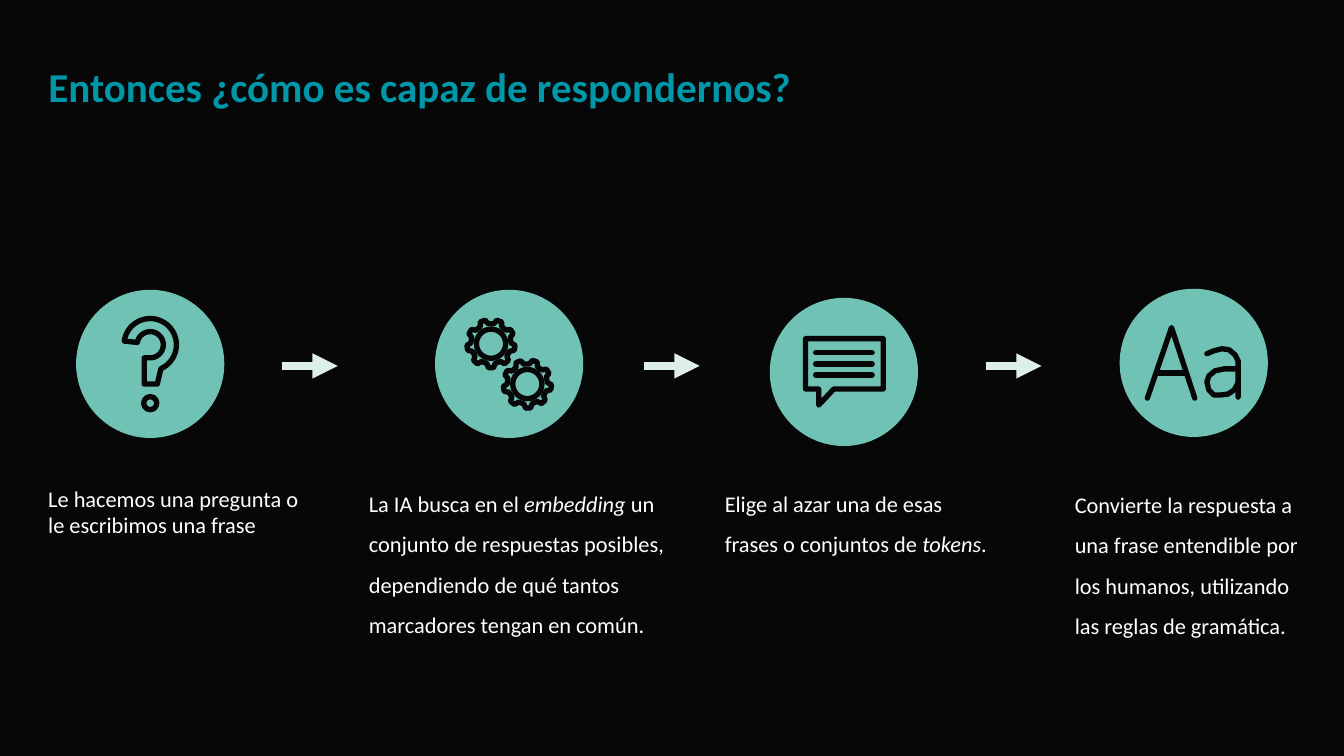
from math import cos, sin, radians
from lxml import etree
from pptx import Presentation
from pptx.dml.color import RGBColor
from pptx.enum.shapes import MSO_CONNECTOR, MSO_SHAPE
from pptx.enum.text import MSO_ANCHOR, MSO_AUTO_SIZE, PP_ALIGN
from pptx.oxml.ns import qn
from pptx.util import Inches, Pt

BLACK, TEAL, TITLE, WHITE, PALE = "070707", "6FC2B4", "0097A9", "FFFFFF", "DDEFE8"
STROKE = 3.8
DIAMETER = 1.47

TITLE_TEXT = "Entonces ¿cómo es capaz de respondernos?"
# Text runs (odd ones italic), box, inset, indent, line spacing
STEPS = [
    (["Le hacemos una pregunta o le escribimos una frase"],
     (0.38, 4.76, 2.68, 0.64), 0.1, 0, 1.0),
    (["La IA busca en el ", "embedding", " un conjunto de respuestas posibles, "
      "dependiendo de qué tantos marcadores tengan en común."],
     (3.29, 4.68, 3.61, 1.67), 0.1, 0.27, 1.5),
    (["Elige al azar una de esas frases o conjuntos de ", "tokens", "."],
     (6.82, 4.68, 3.1, 0.87), 0.1, 0.27, 1.5),
    (["Convierte la respuesta a una frase entendible por los humanos, "
      "utilizando las reglas de gramática."],
     (10.39, 4.74, 2.66, 1.57), 0, 0.27, 1.5),
]
CENTERS = [(1.49, 3.61), (5.05, 3.61), (8.37, 3.69), (11.84, 3.6)]
ARROW_STARTS, ARROW_Y, ARROW_LENGTH = [2.8, 6.39, 9.78], 3.63, 0.55
GEARS = [(4.87, 3.41, 10), (5.23, 3.81, 8)]  # centre and angle of first tooth
BUBBLE = [(7.99, 3.36), (8.76, 3.36), (8.76, 3.86), (8.27, 3.86),
          (8.12, 4.02), (8.12, 3.86), (7.99, 3.86)]
BUBBLE_LINES = [3.5, 3.61, 3.72]
LETTERS = [
    [(11.38, 3.95), (11.62, 3.25), (11.85, 3.95)],
    [(11.48, 3.7), (11.75, 3.7)],
    [(11.97, 3.51), (12.04, 3.48), (12.12, 3.46), (12.19, 3.47), (12.25, 3.52),
     (12.28, 3.58), (12.28, 3.94)],
    [(12.28, 3.66), (12.14, 3.66), (12.05, 3.68), (11.99, 3.73), (11.97, 3.79),
     (11.99, 3.87), (12.04, 3.92), (12.1, 3.92), (12.18, 3.91), (12.24, 3.87),
     (12.28, 3.8)],
]


def color(value):
    return RGBColor.from_string(value)


def write(tf, runs, size=16, fill=WHITE, bold=False, inset=0.1, indent=0, spacing=1.0):
    tf.word_wrap = True
    tf.auto_size = MSO_AUTO_SIZE.NONE
    tf.vertical_anchor = MSO_ANCHOR.TOP
    tf.margin_left = tf.margin_right = Inches(inset)
    tf.margin_top = tf.margin_bottom = Inches(inset / 2)
    p = tf.paragraphs[0]
    p.alignment = PP_ALIGN.LEFT
    p.line_spacing = spacing
    if indent:
        p._p.get_or_add_pPr().set("marL", str(Inches(indent)))
    for i, text in enumerate(runs):
        r = p.add_run()
        r.text = text
        r.font.name, r.font.size, r.font.bold = "Calibri", Pt(size), bold
        r.font.italic = i % 2 == 1
        r.font.color.rgb = color(fill)


def paint(sp, fill=None, line=None):
    sp.shadow.inherit = False
    if fill:
        sp.fill.solid()
        sp.fill.fore_color.rgb = color(fill)
    else:
        sp.fill.background()
    if line:
        sp.line.color.rgb = color(line)
        sp.line.width = Pt(STROKE)
        ln = sp.line._get_or_add_ln()
        ln.set("cap", "rnd")
        etree.SubElement(ln, qn("a:round"))
    else:
        sp.line.fill.background()


def disc(x, y, d, **style):
    paint(s.shapes.add_shape(MSO_SHAPE.OVAL, Inches(x - d / 2), Inches(y - d / 2),
                             Inches(d), Inches(d)), **style)


def outline(points, close=False, fill=None):
    points = [(Inches(x), Inches(y)) for x, y in points]
    fb = s.shapes.build_freeform(*points[0], scale=1.0)
    fb.add_line_segments(points[1:], close=close)
    paint(fb.convert_to_shape(), fill=fill, line=BLACK)


def polar(x, y, radius, angle):
    return x + radius * cos(radians(angle)), y + radius * sin(radians(angle))


def connector(x1, y1, x2, y2, line, width):
    c = s.shapes.add_connector(MSO_CONNECTOR.STRAIGHT, *map(Inches, (x1, y1, x2, y2)))
    c.line.color.rgb = color(line)
    c.line.width = Pt(width)
    ln = c.line._get_or_add_ln()
    etree.SubElement(c._element.spPr, qn("a:effectLst"))
    return ln


prs = Presentation()
prs.slide_width, prs.slide_height = Inches(13.33), Inches(7.5)
s = prs.slides.add_slide(prs.slide_layouts[5])
s.background.fill.solid()
s.background.fill.fore_color.rgb = color(BLACK)

# Title
title = s.shapes.title
title.left, title.top, title.width, title.height = map(Inches, (0.48, 0.42, 11.25, 0.62))
write(title.text_frame, [TITLE_TEXT], size=29.3, fill=TITLE, bold=True, inset=0,
      spacing=Pt(48.5))

# Discs and step texts
for (x, y), (runs, box, inset, indent, spacing) in zip(CENTERS, STEPS):
    disc(x, y, DIAMETER, fill=TEAL)
    tb = s.shapes.add_textbox(*map(Inches, box))
    write(tb.text_frame, runs, inset=inset, indent=indent, spacing=spacing)

# Question mark: outer arc, stem, inner arc back
qx, qy = 1.49, 3.42
outer = [polar(qx, qy, 0.26, a) for a in range(188, 433, 7)]
stem = [(1.56, 3.81), (1.43, 3.81), (1.43, 3.55)]
inner = [polar(qx, qy, 0.13, a) for a in range(450, 187, -10)]
outline(outer + stem + inner, close=True)
disc(qx, 4, 0.13, line=BLACK)

# Gears with nine teeth
for x, y, first in GEARS:
    rim = []
    for tooth in range(9):
        for offset, radius in ((-12, 0.2), (-6, 0.24), (6, 0.24), (12, 0.2)):
            rim.append(polar(x, y, radius, first + 40 * tooth + offset))
    outline(rim, close=True, fill=TEAL)
    disc(x, y, 0.29, line=BLACK)

# Speech bubble
outline(BUBBLE, close=True)
for y in BUBBLE_LINES:
    connector(8.09, y, 8.65, y, BLACK, STROKE).set("cap", "rnd")

# Letters
for points in LETTERS:
    outline(points)

# Arrows between steps
for x in ARROW_STARTS:
    ln = connector(x, ARROW_Y, x + ARROW_LENGTH, ARROW_Y, PALE, 6)
    etree.SubElement(ln, qn("a:tailEnd"), type="triangle")

prs.save("out.pptx")
